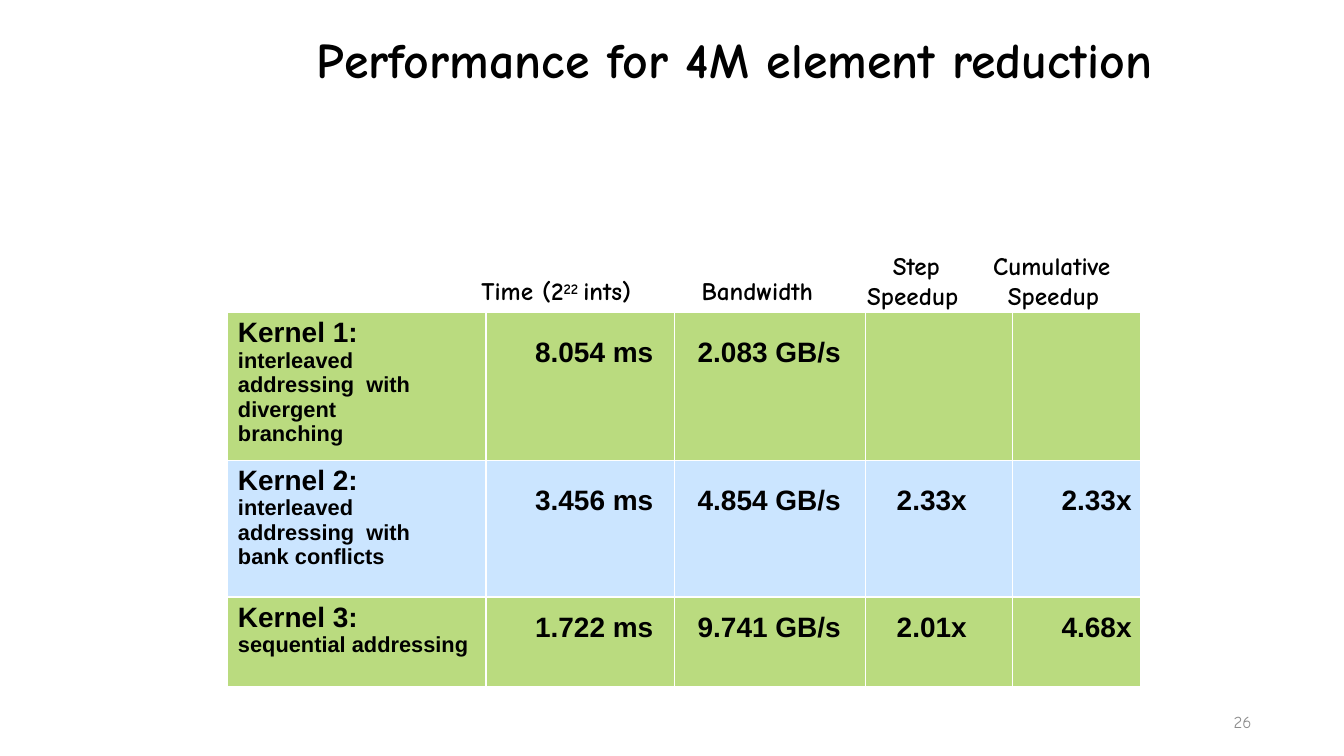
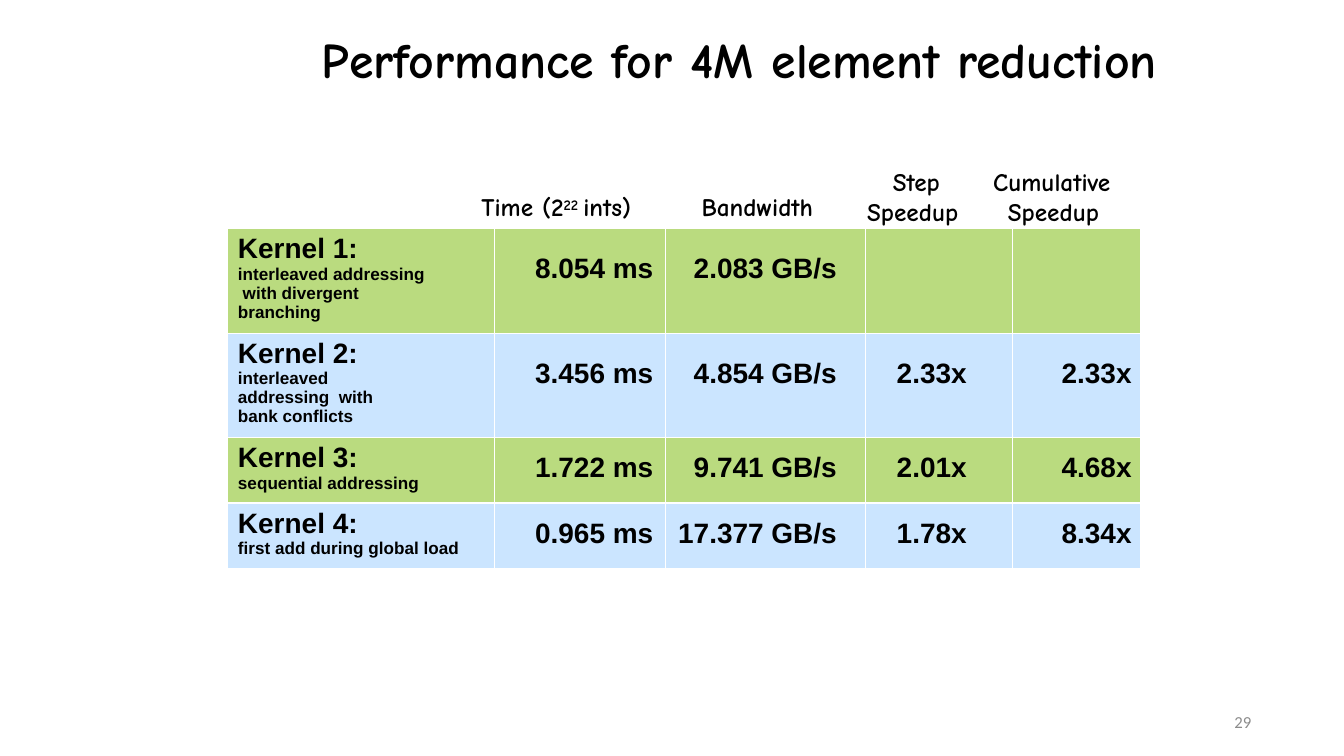
from collections import namedtuple
from dataclasses import dataclass

from lxml.etree import SubElement
from pptx import Presentation
from pptx.dml.color import RGBColor
from pptx.enum.text import MSO_ANCHOR, PP_ALIGN
from pptx.oxml.ns import qn
from pptx.util import Pt


@dataclass(frozen=True)
class Theme:
    ink: str = "000000"
    gray: str = "8C8C8C"
    bands: tuple = ("76B800", "99CCFF")
    opaque: int = 50
    hand: str = "Comic Neue"
    sans: str = "Arial"
    plain: str = "Calibri"
    title: float = 32
    head: float = 16.2
    value: float = 18
    page: float = 10.8


THEME = Theme()
LEFT, RIGHT, CENTER = PP_ALIGN.LEFT, PP_ALIGN.RIGHT, PP_ALIGN.CENTER

Box = namedtuple("Box", "left top width height")
Col = namedtuple("Col", "width align pad")
Head = namedtuple("Head", "box runs margin indent")
Kernel = namedtuple("Kernel", "name detail values")

KERNELS = [
    Kernel("Kernel 1:", "interleaved addressing  with divergent branching",
           ["8.054 ms", "2.083 GB/s", "", ""]),
    Kernel("Kernel 2:", "interleaved addressing  with bank conflicts",
           ["3.456 ms", "4.854 GB/s", "2.33x", "2.33x"]),
    Kernel("Kernel 3:", "sequential addressing",
           ["1.722 ms", "9.741 GB/s", "2.01x", "4.68x"]),
    Kernel("Kernel 4:", "first add during global load",
           ["0.965 ms", "17.377 GB/s", "1.78x", "8.34x"]),
]

# Boxes are relative to the top left corner of the table; runs are (text, raised).
HEADS = [
    Head(Box(410.5, -41, 70.5, 40), [("Step Speedup", False)], 1, 16.5),
    Head(Box(304, -25, 85, 21), [("Bandwidth", False)], 1, 0),
    Head(Box(160.5, -25, 121.5, 21),
         [("Time (2", False), ("22 ", True), ("ints)", False)], 3, 0),
    Head(Box(492, -41, 88.5, 40), [("Cumulative Speedup", False)], 10, -9.5),
]

SPEEDUPS = [Col(94.5, LEFT, 20), Col(82.5, RIGHT, 6)]


def add_run(para, text, face, size, color=THEME.ink, bold=True):
    run = para.add_run()
    run.text = text
    font = run.font
    font.name, font.size, font.bold = face, Pt(size), bold
    font.color.rgb = RGBColor.from_string(color)
    return run


def add_box(slide, box, anchor=MSO_ANCHOR.TOP, inset=0):
    """Add an empty wrapping text box and return its first paragraph."""
    frame = slide.shapes.add_textbox(*map(Pt, box)).text_frame
    frame.word_wrap = True
    frame.vertical_anchor = anchor
    frame.margin_left = frame.margin_right = frame.margin_bottom = 0
    frame.margin_top = Pt(inset)
    return frame.paragraphs[0]


def add_title(slide, box):
    para = add_box(slide, box, MSO_ANCHOR.MIDDLE, 1)
    para.alignment = CENTER
    add_run(para, "Performance for 4M element reduction", THEME.hand, THEME.title)


def add_page(slide, box, number, face):
    para = add_box(slide, box, MSO_ANCHOR.MIDDLE)
    para.alignment = RIGHT
    para.line_spacing = Pt(14.2)
    add_run(para, number, face, THEME.page, THEME.gray, False)


def add_heads(slide, left, top):
    for head in HEADS:
        box = head.box._replace(left=left + head.box.left, top=top + head.box.top)
        para = add_box(slide, box, inset=1)
        props = para._p.get_or_add_pPr()
        props.set("marL", str(Pt(head.margin)))
        props.set("indent", str(Pt(head.indent)))
        for text, raised in head.runs:
            run = add_run(para, text, THEME.hand, THEME.head)
            if raised:
                run.font._element.set("baseline", "25000")


def fill_cell(cell, color):
    cell.fill.solid()
    cell.fill.fore_color.rgb = RGBColor.from_string(color)
    tint = cell._tc.tcPr.find(".//" + qn("a:srgbClr"))
    SubElement(tint, qn("a:alpha")).set("val", str(THEME.opaque * 1000))


def pad_cell(cell, left=0, top=0, right=0, bottom=0):
    cell.margin_left, cell.margin_top = Pt(left), Pt(top)
    cell.margin_right, cell.margin_bottom = Pt(right), Pt(bottom)


def write_kernel(cell, kernel, size, right):
    pad_cell(cell, 7, 3, right, 3)
    name = cell.text_frame.paragraphs[0]
    add_run(name, kernel.name, THEME.sans, THEME.value)
    detail = cell.text_frame.add_paragraph()
    add_run(detail, kernel.detail, THEME.sans, size)


def write_value(cell, text, col, top):
    side = "left" if col.align == LEFT else "right"
    pad_cell(cell, top=top, **{side: col.pad})
    if text:
        para = cell.text_frame.paragraphs[0]
        para.alignment = col.align
        add_run(para, text, THEME.sans, THEME.value)


def add_results(slide, left, top, cols, rows, size, wraps):
    """Add the kernel table; wraps are the right paddings of the first column."""
    width = sum(col.width for col in cols)
    frame = slide.shapes.add_table(len(rows), len(cols), Pt(left), Pt(top),
                                   Pt(width), Pt(sum(rows)))
    table = frame.table
    table.first_row = table.horz_banding = False
    for column, col in zip(table.columns, cols):
        column.width = Pt(col.width)
    for i, (kernel, height, wrap) in enumerate(zip(KERNELS, rows, wraps)):
        table.rows[i].height = Pt(height)
        cells = list(table.rows[i].cells)
        for cell in cells:
            fill_cell(cell, THEME.bands[i % 2])
        write_kernel(cells[0], kernel, size, wrap)
        for cell, text, col in zip(cells[1:], kernel.values, cols[1:]):
            write_value(cell, text, col, 16 if i < 2 else 9.5)


def add_slide(deck, title, top, cols, rows, size, wraps, page, number, face):
    slide = deck.slides.add_slide(deck.slide_layouts[6])
    left = 146
    add_title(slide, title)
    add_results(slide, left, top, cols + SPEEDUPS, rows, size, wraps)
    add_heads(slide, left, top)
    add_page(slide, page, number, face)


def main():
    deck = Presentation()
    deck.slide_width, deck.slide_height = Pt(864), Pt(486)
    add_slide(deck, Box(102, 17.5, 741, 39.5), 201,
              [Col(166.5, LEFT, 7), Col(121, RIGHT, 13.5), Col(123, LEFT, 15)],
              [88, 88, 57.5], 14, [37, 37, 0],
              Box(610, 456.5, 194.5, 14), "26", THEME.hand)
    add_slide(deck, Box(114, 17.5, 723, 39.5), 147,
              [Col(172, LEFT, 7), Col(110, RIGHT, 8), Col(128.5, RIGHT, 18.5)],
              [54, 54, 42, 42], 11, [42, 62, 0, 0],
              Box(610, 450.5, 194.5, 26), "29", THEME.plain)
    deck.save("out.pptx")


if __name__ == "__main__":
    main()
